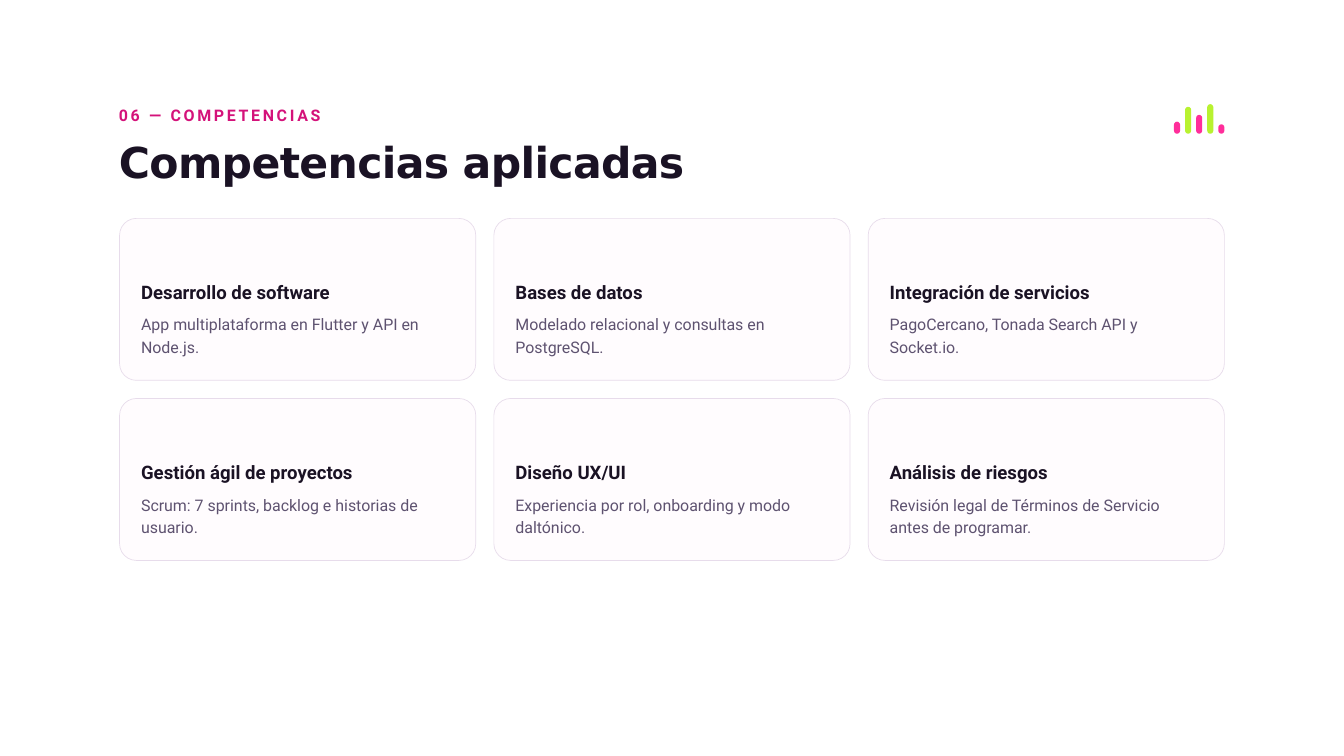
from dataclasses import dataclass

from pptx import Presentation
from pptx.dml.color import RGBColor
from pptx.enum.shapes import MSO_SHAPE
from pptx.enum.text import MSO_AUTO_SIZE
from pptx.util import Inches, Pt

ROUNDED = MSO_SHAPE.ROUNDED_RECTANGLE
GROW = MSO_AUTO_SIZE.SHAPE_TO_FIT_TEXT

INK, MUTED, MAGENTA = "1A1224", "5E5270", "D4127A"
CARD_FILL, CARD_LINE = "FFFCFE", "E7DCEB"
PINK, LIME = "FF2E9A", "B8F230"

# Card grid
LEFT, TOP = 1.78, 3.25
CARD_W, CARD_H, CARD_RADIUS = 5.3, 2.41, 0.25
GAP = 0.27
COLUMNS = 3
PAD = 0.32

# Equalizer bars
BARS_LEFT, BARS_BOTTOM = 17.47, 1.99
BAR_W, BAR_STEP = 0.09, 0.165
BAR_HEIGHTS = (0.18, 0.4, 0.28, 0.44, 0.14)


@dataclass
class TextStyle:
    size: float
    color: str
    line: float
    bold: bool = False
    font: str = "Roboto"
    spacing: float = 0


@dataclass
class Card:
    title: str
    body: str


EYEBROW = TextStyle(17.1, MAGENTA, 23.9, bold=True, spacing=2.9)
HEADING = TextStyle(45.6, INK, 52.4, bold=True, font="DejaVu Sans", spacing=-0.7)
CARD_TITLE = TextStyle(19.9, INK, 24.9, bold=True)
CARD_BODY = TextStyle(17.1, MUTED, 23.9)

CARDS = [
    Card("Desarrollo de software", "App multiplataforma en Flutter y API en Node.js."),
    Card("Bases de datos", "Modelado relacional y consultas en PostgreSQL."),
    Card("Integración de servicios", "PagoCercano, Tonada Search API y Socket.io."),
    Card("Gestión ágil de proyectos", "Scrum: 7 sprints, backlog e historias de usuario."),
    Card("Diseño UX/UI", "Experiencia por rol, onboarding y modo daltónico."),
    Card("Análisis de riesgos", "Revisión legal de Términos de Servicio antes de programar."),
]


def rgb(value: str) -> RGBColor:
    return RGBColor.from_string(value)


def add_text(s, text: str, x: float, y: float, w: float, h: float, style: TextStyle) -> None:
    tf = s.shapes.add_textbox(Inches(x), Inches(y), Inches(w), Inches(h)).text_frame
    tf.margin_left = tf.margin_right = tf.margin_top = tf.margin_bottom = 0
    tf.word_wrap = True
    tf.auto_size = GROW
    tf.text = text
    p = tf.paragraphs[0]
    p.line_spacing = Pt(style.line)
    r = p.runs[0]
    r.font.name = style.font
    r.font.size = Pt(style.size)
    r.font.bold = style.bold
    r.font.color.rgb = rgb(style.color)
    if style.spacing:
        r._r.get_or_add_rPr().set("spc", str(round(style.spacing * 100)))


def add_rounded(s, x: float, y: float, w: float, h: float, radius: float,
                fill: str, line: str = "") -> None:
    sp = s.shapes.add_shape(ROUNDED, Inches(x), Inches(y), Inches(w), Inches(h))
    sp.adjustments[0] = radius / min(w, h)
    sp.shadow.inherit = False
    sp.fill.solid()
    sp.fill.fore_color.rgb = rgb(fill)
    if line:
        sp.line.color.rgb = rgb(line)
        sp.line.width = Pt(0.75)
    else:
        sp.line.fill.background()


def add_card(s, card: Card, x: float, y: float) -> None:
    text_w = CARD_W - 2 * PAD
    add_rounded(s, x, y, CARD_W, CARD_H, CARD_RADIUS, CARD_FILL, CARD_LINE)
    add_text(s, card.title, x + PAD, y + 0.92, text_w, 0.36, CARD_TITLE)
    add_text(s, card.body, x + PAD, y + 1.39, text_w, 0.69, CARD_BODY)


def main() -> None:
    prs = Presentation()
    prs.slide_width, prs.slide_height = Inches(20), Inches(11.25)
    s = prs.slides.add_slide(prs.slide_layouts[6])

    # Header
    add_text(s, "06 — COMPETENCIAS", 1.77, 1.52, 16.47, 0.37, EYEBROW)
    add_text(s, "Competencias aplicadas", 1.77, 2.06, 16.47, 0.71, HEADING)

    # Competence cards
    for i, card in enumerate(CARDS):
        row, col = divmod(i, COLUMNS)
        add_card(s, card, LEFT + col * (CARD_W + GAP), TOP + row * (CARD_H + GAP))

    # Equalizer bars
    for i, height in enumerate(BAR_HEIGHTS):
        add_rounded(s, BARS_LEFT + i * BAR_STEP, BARS_BOTTOM - height, BAR_W, height,
                    BAR_W / 2, LIME if i % 2 else PINK)

    prs.save("out.pptx")


if __name__ == "__main__":
    main()
